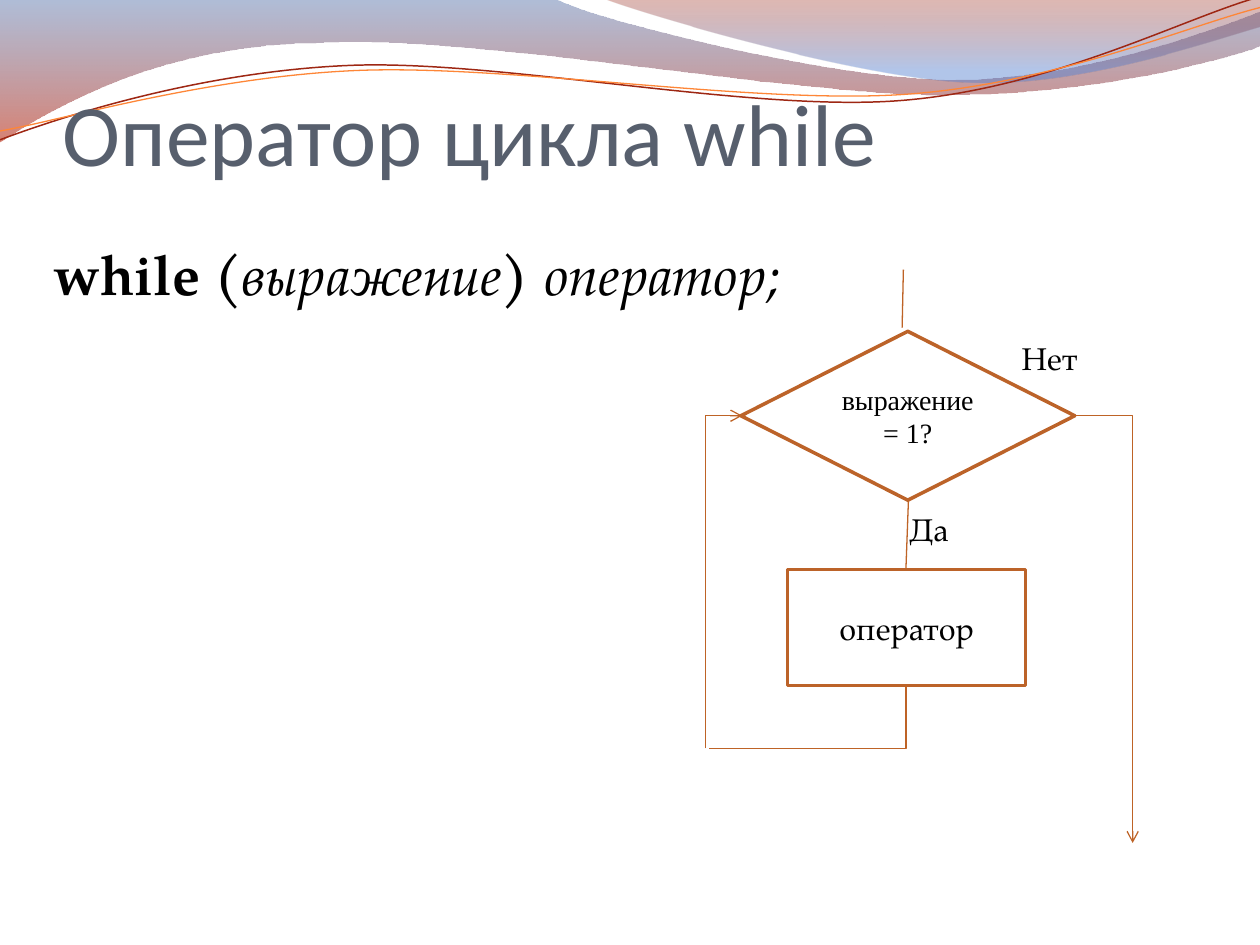
from dataclasses import dataclass

from lxml.etree import SubElement
from pptx import Presentation
from pptx.dml.color import RGBColor
from pptx.enum.dml import MSO_THEME_COLOR
from pptx.enum.shapes import MSO_CONNECTOR, MSO_SHAPE
from pptx.enum.text import MSO_ANCHOR, MSO_AUTO_SIZE, PP_ALIGN
from pptx.oxml.ns import qn
from pptx.util import Inches, Pt

COLORS = {
    "title": "575F6D", "text": "000000", "outline": "BC6329", "flow": "BE6326",
    "wave_blue": "4F6EA8", "wave_red": "B61A00", "crest_red": "951500",
    "crest_blue": "5681D1", "curve_dark": "9E2713", "curve_orange": "FE8637",
}
HEADING, BODY, CONDITION = "Calibri", "TeX Gyre Pagella", "Times New Roman"
Point = tuple[float, float]
Box = tuple[float, float, float, float]


@dataclass
class Stop:
    position: float
    color: str
    opacity: int


@dataclass
class Wave:
    """Each segment holds one point (straight) or three (Bezier curve)."""
    start: Point
    segments: list[tuple[Point, ...]]
    stops: tuple[Stop, ...] = ()
    line: str = ""
    width: float = 0


@dataclass
class Run:
    text: str
    size: float
    font: str = BODY
    color: str = "text"
    bold: bool = False
    italic: bool = False


@dataclass
class Label:
    box: Box
    runs: list[Run]


@dataclass
class Step:
    kind: MSO_SHAPE
    box: Box
    run: Run


@dataclass
class Flow:
    start: Point
    end: Point
    route: str = "straight"
    arrow: bool = False


WAVES = [
    Wave((0, -0.01), [
        ((4.4, -0.01),), ((4.76, 0.17), (6.64, 0.63), (7.58, 0.63)),
        ((8.53, 0.63), (9.58, 0.26), (10, 0.09)), ((10.01, 0.36),),
        ((9.83, 0.44), (8.7, 0.76), (7.46, 0.75)),
        ((6.22, 0.75), (3.82, 0.28), (2.57, 0.34)),
        ((1.29, 0.35), (0.46, 0.83), (-0.01, 1.13))],
        (Stop(0, "wave_blue", 45), Stop(1, "wave_red", 55))),
    Wave((4.79, -0.01), [
        ((5.09, 0.11), (6.82, 0.62), (7.69, 0.65)),
        ((8.56, 0.69), (9.61, 0.32), (10, 0.21)), ((10, 0),)],
        (Stop(0, "crest_red", 30), Stop(0.8, "crest_blue", 45))),
    Wave((0, 1.11), [
        ((0.48, 0.93), (1.58, 0.57), (2.77, 0.52)),
        ((3.95, 0.47), (5.93, 0.89), (7.13, 0.8)),
        ((8.33, 0.71), (9.38, 0.15), (9.98, -0.02))],
        line="curve_dark", width=0.85),
    Wave((0, 1.04), [
        ((0.47, 0.96), (1.64, 0.61), (2.83, 0.56)),
        ((4.03, 0.51), (5.97, 0.83), (7.17, 0.75)),
        ((8.36, 0.67), (9.41, 0.21), (10, 0.06))],
        line="curve_orange", width=0.75),
]
TITLE = Label((0.5, 0.21, 9, 1.25), [Run("Оператор цикла while", 50, HEADING, "title")])
SYNTAX = Label((0.33, 1.85, 9.49, 0.64), [
    Run("while (", 32, bold=True), Run("выражение", 32, italic=True),
    Run(") ", 32, bold=True), Run("оператор;", 32, italic=True)])
FLOWCHART = [
    Flow((7.17, 2.14), (7.16, 2.6)),
    Step(MSO_SHAPE.FLOWCHART_DECISION, (5.88, 2.63, 2.65, 1.34),
         Run("выражение = 1?", 16, CONDITION)),
    Step(MSO_SHAPE.FLOWCHART_PROCESS, (6.25, 4.52, 1.89, 0.92), Run("оператор", 18)),
    Flow((7.21, 3.97), (7.19, 4.52)),
    Flow((7.19, 5.44), (5.63, 5.94), "vertical first"),
    Flow((5.6, 5.94), (5.89, 3.3), "vertical first", arrow=True),
    Label((7.12, 4, 0.94, 0.4), [Run("Да", 18)]),
    Label((8.01, 2.64, 0.94, 0.4), [Run("Нет", 18)]),
    Flow((8.53, 3.3), (8.99, 6.69), "horizontal first", arrow=True),
]


def rgb(name: str) -> RGBColor:
    return RGBColor.from_string(COLORS[name])


def bend(shape, wave: Wave) -> None:
    """Join the three lines of each curved segment into one Bezier curve."""
    lines = iter(list(shape.element.spPr.iter(qn("a:lnTo"))))
    for segment in wave.segments:
        first, *others = [next(lines) for _ in segment]
        if others:
            first.tag = qn("a:cubicBezTo")
            for line in others:
                first.append(line[0])
                line.getparent().remove(line)


def draw_wave(shapes, wave: Wave) -> None:
    points = [wave.start, *(point for segment in wave.segments for point in segment)]
    corners = [(Inches(x), Inches(y)) for x, y in points]
    builder = shapes.build_freeform(*corners[0])
    builder.add_line_segments(corners[1:], close=bool(wave.stops))
    shape = builder.convert_to_shape()
    bend(shape, wave)
    shape.shadow.inherit = False
    if not wave.stops:
        shape.fill.background()
        shape.line.color.rgb = rgb(wave.line)
        shape.line.width = Pt(wave.width)
        return
    shape.line.fill.background()
    shape.fill.gradient()
    shape.fill.gradient_angle = 270
    for target, stop in zip(shape.fill.gradient_stops, wave.stops):
        target.color.theme_color = MSO_THEME_COLOR.ACCENT_1
        target.color.rgb = rgb(stop.color)
        target.position = stop.position
    # Opacity of the gradient stops
    for color, stop in zip(shape.element.spPr.iter(qn("a:srgbClr")), wave.stops):
        SubElement(color, qn("a:alpha"), val=str(stop.opacity * 1000))


def write(paragraph, run: Run) -> None:
    part = paragraph.add_run()
    part.text = run.text
    font = part.font
    font.name, font.size = run.font, Pt(run.size)
    font.bold, font.italic = run.bold, run.italic
    font.color.rgb = rgb(run.color)


def draw_label(shapes, label: Label):
    frame = shapes.add_textbox(*map(Inches, label.box)).text_frame
    frame.word_wrap = True
    frame.auto_size = MSO_AUTO_SIZE.SHAPE_TO_FIT_TEXT
    for run in label.runs:
        write(frame.paragraphs[0], run)
    return frame


def draw_step(shapes, step: Step) -> None:
    shape = shapes.add_shape(step.kind, *map(Inches, step.box))
    shape.shadow.inherit = False
    shape.fill.background()
    shape.line.color.rgb = rgb("outline")
    shape.line.width = Pt(2)
    shape.text_frame.vertical_anchor = MSO_ANCHOR.MIDDLE
    paragraph = shape.text_frame.paragraphs[0]
    paragraph.alignment = PP_ALIGN.CENTER
    write(paragraph, step.run)


def draw_flow(shapes, flow: Flow) -> None:
    (x1, y1), (x2, y2) = flow.start, flow.end
    turned = flow.route == "vertical first"
    if turned:  # the frame lies on its side, then turns a quarter
        mid_x, mid_y = (x1 + x2) / 2, (y1 + y2) / 2
        half_w, half_h = (y2 - y1) / 2, (x1 - x2) / 2
        x1, y1, x2, y2 = mid_x - half_w, mid_y - half_h, mid_x + half_w, mid_y + half_h
    straight = flow.route == "straight"
    kind = MSO_CONNECTOR.STRAIGHT if straight else MSO_CONNECTOR.ELBOW
    connector = shapes.add_connector(kind, *map(Inches, (x1, y1, x2, y2)))
    connector.line.color.rgb = rgb("flow")
    connector.line.width = Pt(0.75)
    properties = connector.element.spPr
    if not straight:
        properties.find(qn("a:prstGeom")).set("prst", "bentConnector2")
    if turned:
        properties.find(qn("a:xfrm")).set("rot", "5400000")
    if flow.arrow:
        SubElement(properties.find(qn("a:ln")), qn("a:tailEnd"), type="arrow")
    SubElement(properties, qn("a:effectLst"))


presentation = Presentation()
presentation.slide_width, presentation.slide_height = Inches(10), Inches(7.5)
shapes = presentation.slides.add_slide(presentation.slide_layouts[6]).shapes

# Waves along the top edge
for wave in WAVES:
    draw_wave(shapes, wave)

# Title and syntax line
heading = draw_label(shapes, TITLE)
heading.auto_size = MSO_AUTO_SIZE.NONE
heading.vertical_anchor = MSO_ANCHOR.BOTTOM
heading.margin_left = heading.margin_right = heading.margin_bottom = 0
draw_label(shapes, SYNTAX)

# Flowchart, from back to front
DRAW = {Flow: draw_flow, Step: draw_step, Label: draw_label}
for part in FLOWCHART:
    DRAW[type(part)](shapes, part)

presentation.save("out.pptx")
